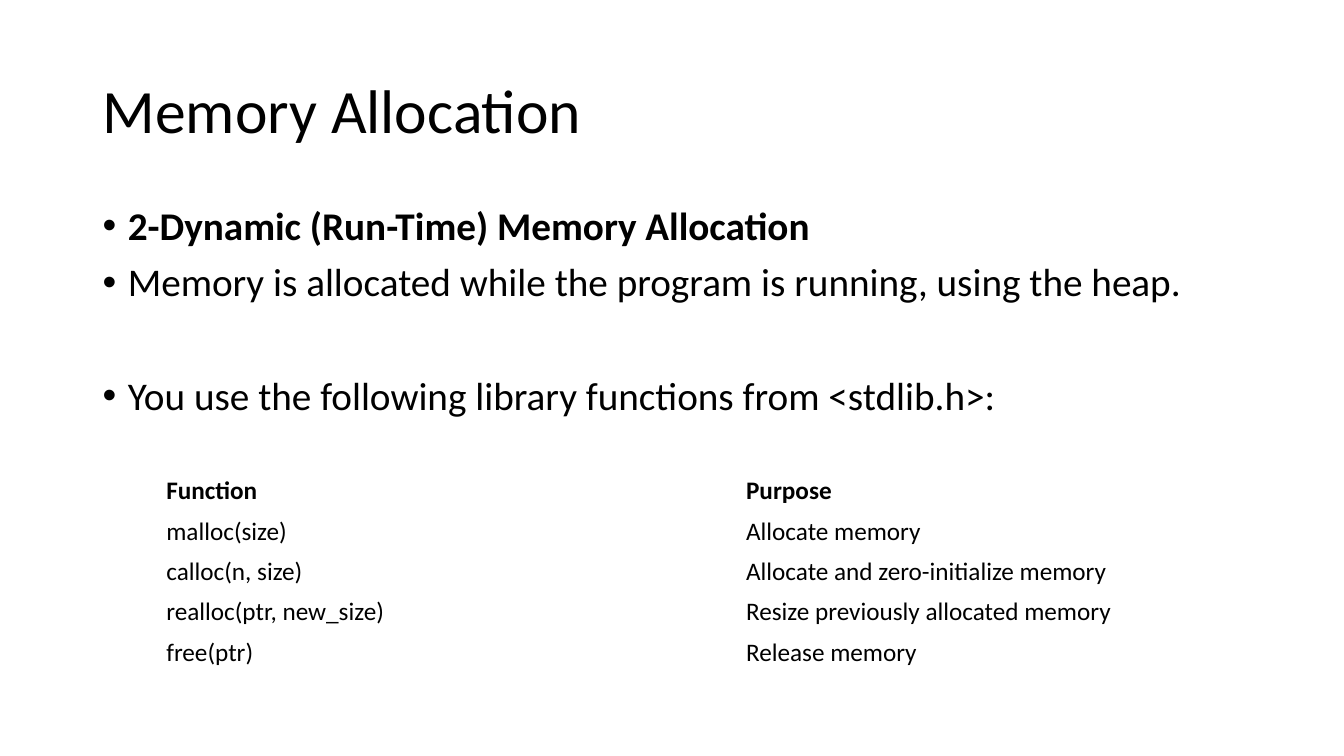
import pptx
import pptx.util
import pptx.dml.color
import pptx.enum.text
import lxml.etree

SLIDE_WIDTH = pptx.util.Inches(13.33)
SLIDE_HEIGHT = pptx.util.Inches(7.5)
FONT_NAME = "Calibri"
COLORS = {"text": "000000", "background": "FFFFFF"}
NAMESPACE = "http://schemas.openxmlformats.org/drawingml/2006/main"
MIDDLE = pptx.enum.text.MSO_ANCHOR.MIDDLE
TOP = pptx.enum.text.MSO_ANCHOR.TOP

TITLE = "Memory Allocation"
POINTS = [
    ("2-Dynamic (Run-Time) Memory Allocation", True, 10),
    ("Memory is allocated while the program is running, using the heap.", False, 10),
    ("You use the following library functions from <stdlib.h>:", False, 50.7),
]
FUNCTIONS = [
    ("Function", "Purpose"),
    ("malloc(size)", "Allocate memory"),
    ("calloc(n, size)", "Allocate and zero-initialize memory"),
    ("realloc(ptr, new_size)", "Resize previously allocated memory"),
    ("free(ptr)", "Release memory"),
]


def inches_box(*lengths):
    return [pptx.util.Inches(length) for length in lengths]


def apply_format(target, values):
    for name, value in values.items():
        setattr(target, name, value)


def write_text(paragraph, text, size, bold=False):
    run = paragraph.add_run()
    run.text = text
    apply_format(run.font, {"name": FONT_NAME, "size": pptx.util.Pt(size), "bold": bold})
    run.font.color.rgb = pptx.dml.color.RGBColor.from_string(COLORS["text"])


def add_text_frame(slide, box, anchor):
    text_frame = slide.shapes.add_textbox(*box).text_frame
    apply_format(text_frame, {"word_wrap": True, "vertical_anchor": anchor})
    return text_frame


def add_bullet(paragraph):
    properties = paragraph._p.get_or_add_pPr()
    indent = pptx.util.Inches(0.25)
    properties.set("marL", str(indent))
    properties.set("indent", str(-indent))
    font = lxml.etree.SubElement(properties, f"{{{NAMESPACE}}}buFont")
    font.set("typeface", "Arial")
    bullet = lxml.etree.SubElement(properties, f"{{{NAMESPACE}}}buChar")
    bullet.set("char", "•")


def add_title(slide, box):
    paragraph = add_text_frame(slide, box, MIDDLE).paragraphs[0]
    paragraph.line_spacing = 0.9
    write_text(paragraph, TITLE, 44)


def add_points(slide, box):
    text_frame = add_text_frame(slide, box, TOP)
    for index, (text, bold, space_before) in enumerate(POINTS):
        paragraph = text_frame.add_paragraph() if index else text_frame.paragraphs[0]
        apply_format(paragraph, {"line_spacing": 0.9, "space_before": pptx.util.Pt(space_before)})
        add_bullet(paragraph)
        write_text(paragraph, text, 28, bold)


def add_function_table(slide, box):
    table = slide.shapes.add_table(len(FUNCTIONS), len(FUNCTIONS[0]), *box).table
    apply_format(table, {"first_row": False, "horz_banding": False})
    for row_index, row in enumerate(FUNCTIONS):
        for column_index, text in enumerate(row):
            cell = table.cell(row_index, column_index)
            cell.fill.background()
            cell.vertical_anchor = MIDDLE
            write_text(cell.text_frame.paragraphs[0], text, 18, row_index == 0)


def main():
    presentation = pptx.Presentation()
    apply_format(presentation, {"slide_width": SLIDE_WIDTH, "slide_height": SLIDE_HEIGHT})
    slide = presentation.slides.add_slide(presentation.slide_layouts[6])
    background = slide.background.fill
    background.solid()
    background.fore_color.rgb = pptx.dml.color.RGBColor.from_string(COLORS["background"])
    add_title(slide, inches_box(0.92, 0.4, 11.5, 1.45))
    add_points(slide, inches_box(0.92, 2, 11.5, 4.76))
    add_function_table(slide, inches_box(1.55, 4.67, 11.5, 2))
    presentation.save("out.pptx")


if __name__ == "__main__":
    main()
